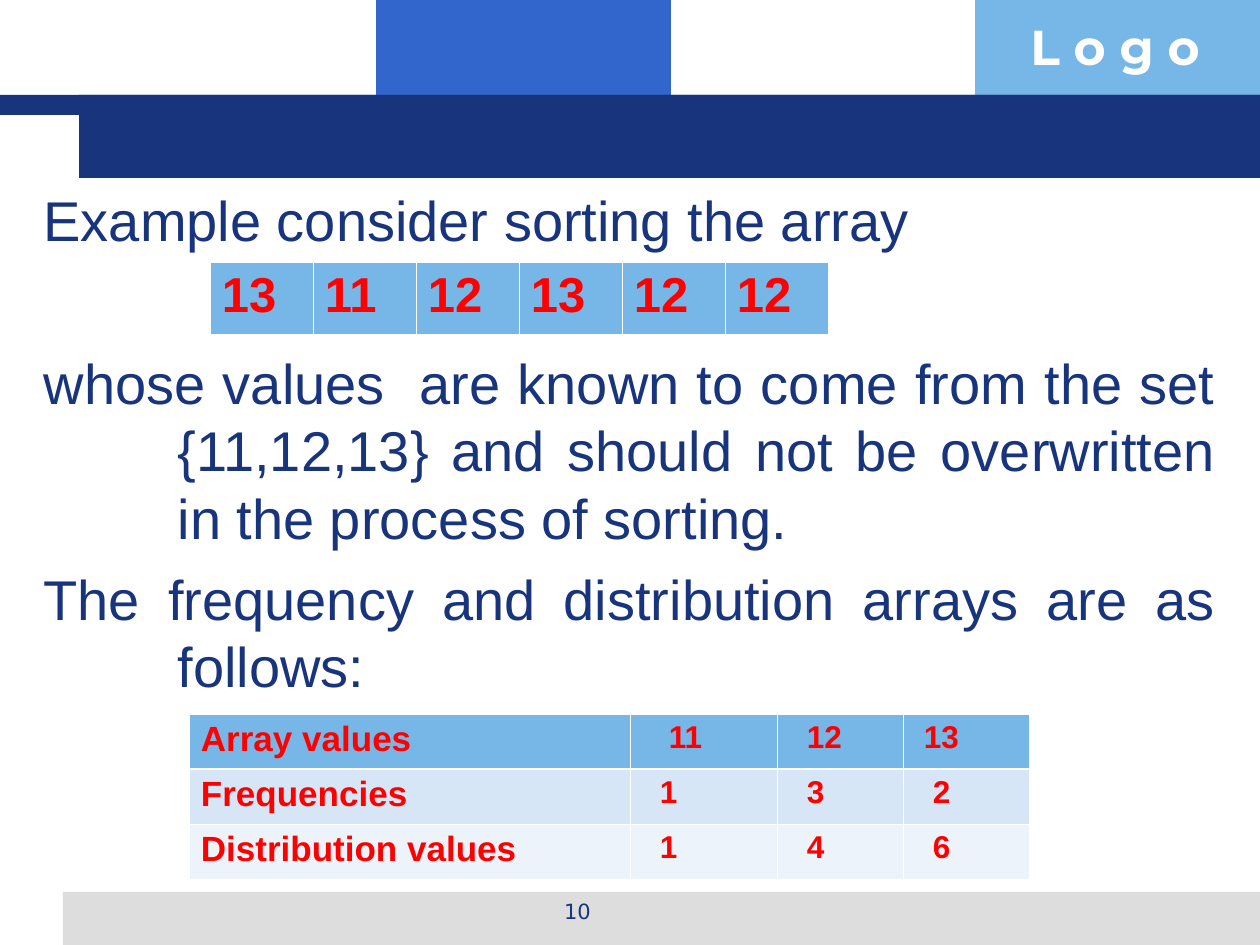
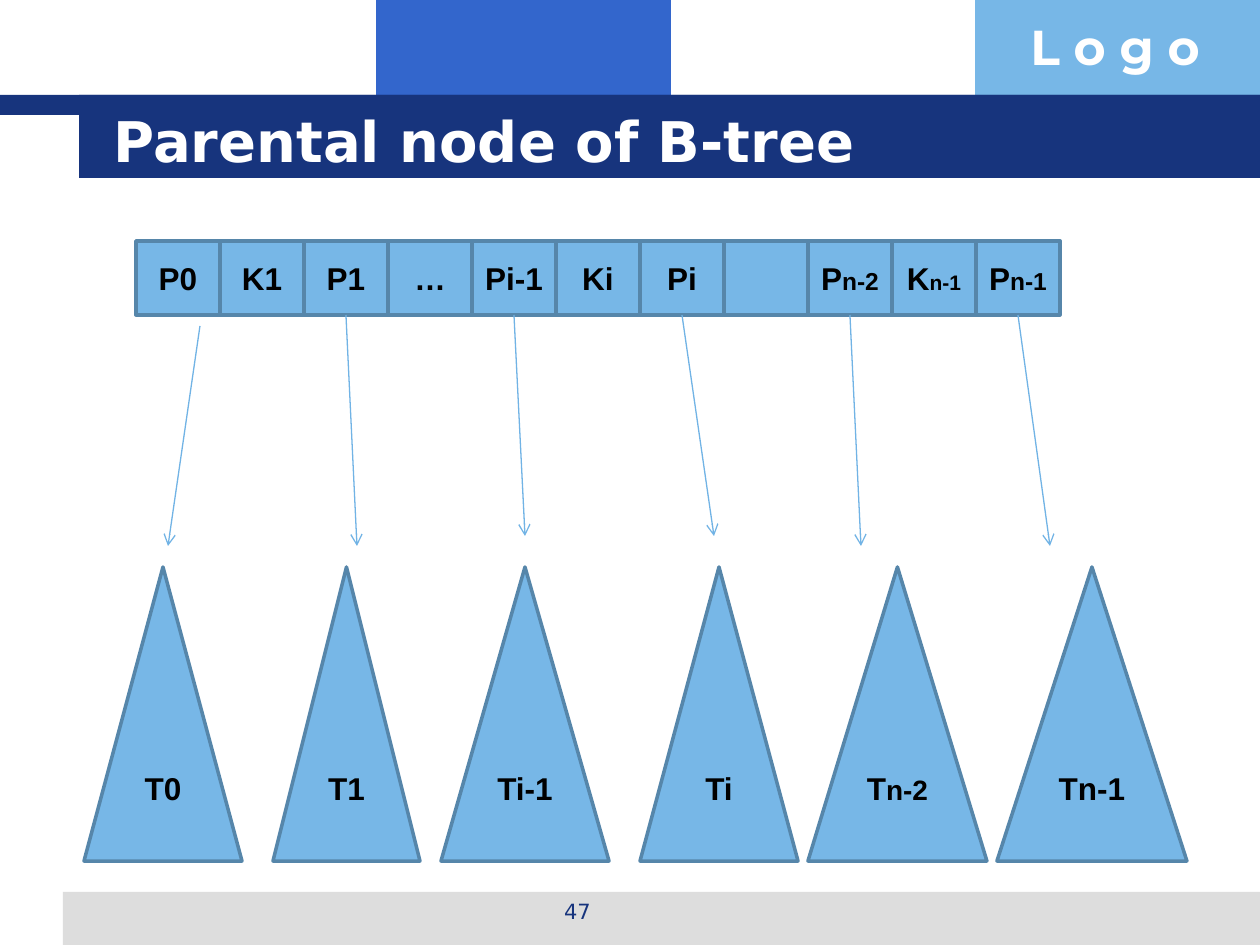
from lxml import etree
from pptx import Presentation
from pptx import util as u
from pptx.dml import color
from pptx.enum import shapes, text
from pptx.oxml import ns

NAVY, BLUE, SKY, GREY = "17347D", "3366CC", "77B7E7", "DDDDDD"
OUTLINE, ARROW = "5686AA", "71B3E5"
WHITE, BLACK, RED = "FFFFFF", "000000", "FF0000"
BODY_FONT, TITLE_FONT, LOGO_FONT = "Arial", "DejaVu Sans", "Montserrat"
EMU_PER_PX = 914400 / 126
INSET, SPACE_WIDTH = 12, 9
THIN, THICK = 0.45, 1.47


def px(length):
    return u.Emu(round(length * EMU_PER_PX))


def rgb(value):
    return color.RGBColor.from_string(value)


class Deck:
    """Holds the style and the slide being drawn."""

    def __init__(self):
        self.presentation = Presentation()
        self.presentation.slide_width = px(1260)
        self.presentation.slide_height = px(945)
        self.slide = None

    def new_slide(self, layout, number):
        layouts = self.presentation.slide_layouts
        self.slide = self.presentation.slides.add_slide(layouts.get_by_name(layout))
        placeholders = list(self.slide.placeholders)
        # Bands shared by every slide
        for box, fill in [((376, 0, 295, 95), BLUE), ((975, 0, 285, 95), SKY),
                          ((63, 892, 1197, 53), GREY), ((0, 95, 1260, 20), NAVY),
                          ((79, 95, 1181, 83), NAVY)]:
            self.shape(box, fill)
        self.label((1018, 10, 242, 72), "L o g o", 28, LOGO_FONT, WHITE, bold=True)
        self.label((431, 892, 293, 44), number, 12, TITLE_FONT, NAVY,
                   align=text.PP_ALIGN.CENTER)
        # Placeholders go in front of the bands
        for placeholder in placeholders:
            self.slide.shapes.element.append(placeholder.element)

    def run(self, paragraph, words, size, font=BODY_FONT, ink=BLACK, bold=False):
        run = paragraph.add_run()
        run.text = words
        run.font.size = u.Pt(size)
        run.font.name = font
        run.font.bold = bold
        run.font.color.rgb = rgb(ink)

    def place(self, shape, box):
        shape.left, shape.top, shape.width, shape.height = map(px, box)

    def label(self, box, words, size, font, ink, bold=False, align=text.PP_ALIGN.LEFT):
        frame = self.slide.shapes.add_textbox(*map(px, box)).text_frame
        frame.word_wrap = True
        paragraph = frame.paragraphs[0]
        paragraph.alignment = align
        self.run(paragraph, words, size, font, ink, bold)

    def shape(self, box, fill, line=None, kind=shapes.MSO_SHAPE.RECTANGLE, runs=()):
        shape = self.slide.shapes.add_shape(kind, *map(px, box))
        shape.shadow.inherit = False
        shape.fill.solid()
        shape.fill.fore_color.rgb = rgb(fill)
        if line:
            shape.line.color.rgb = rgb(line)
            shape.line.width = u.Pt(2)
        else:
            shape.line.fill.background()
        if runs:
            shape.text_frame.vertical_anchor = text.MSO_ANCHOR.MIDDLE
            paragraph = shape.text_frame.paragraphs[0]
            paragraph.alignment = text.PP_ALIGN.CENTER
            for words, size in runs:
                self.run(paragraph, words, size, bold=True)
        return shape

    def title(self, words):
        title = self.slide.shapes.title
        self.place(title, (101, 101, 1075, 78))
        frame = title.text_frame
        frame.auto_size = text.MSO_AUTO_SIZE.NONE
        frame.vertical_anchor = text.MSO_ANCHOR.MIDDLE
        frame.paragraphs[0].alignment = text.PP_ALIGN.LEFT
        self.run(frame.paragraphs[0], words, 32, TITLE_FONT, WHITE, bold=True)

    def remove_title(self):
        element = self.slide.shapes.title.element
        element.getparent().remove(element)

    def body(self, box, entries):
        """Each entry is (words, space before in points)."""
        body = next(iter(self.slide.placeholders))
        self.place(body, box)
        frame = body.text_frame
        frame.auto_size = text.MSO_AUTO_SIZE.NONE
        frame.vertical_anchor = text.MSO_ANCHOR.TOP
        for index, (words, space) in enumerate(entries):
            paragraph = frame.add_paragraph() if index else frame.paragraphs[0]
            properties = paragraph._p.get_or_add_pPr()
            properties.set("marL", str(px(134)))
            properties.set("indent", str(px(-134)))
            etree.SubElement(properties, ns.qn("a:buNone"))
            paragraph.alignment = text.PP_ALIGN.JUSTIFY
            paragraph.space_before = u.Pt(space)
            self.run(paragraph, words, 32, ink=NAVY)

    def border(self, cell, sides):
        properties = cell._tc.get_or_add_tcPr()
        for index, (side, width) in enumerate(sides.items()):
            line = etree.Element(ns.qn("a:ln" + side), w=str(u.Pt(width)))
            fill = etree.SubElement(line, ns.qn("a:solidFill"))
            etree.SubElement(fill, ns.qn("a:srgbClr"), val=WHITE)
            properties.insert(index, line)

    def table(self, left, top, widths, height, rows, fills):
        """Each cell is (words, size, left indent in px)."""
        frame = self.slide.shapes.add_table(len(rows), len(widths), px(left), px(top),
                                            px(sum(widths)), px(height * len(rows)))
        table = frame.table
        table.first_row = table.horz_banding = False
        for column, width in zip(table.columns, widths):
            column.width = px(width)
        for r, row in enumerate(rows):
            table.rows[r].height = px(height)
            for c, (words, size, indent) in enumerate(row):
                cell = table.cell(r, c)
                cell.fill.solid()
                cell.fill.fore_color.rgb = rgb(fills[r])
                cell.margin_left = px(INSET + indent)
                self.run(cell.text_frame.paragraphs[0], words, size, ink=RED, bold=True)
                self.border(cell, {"L": THIN, "R": THIN,
                                   "T": THICK if r == 1 else THIN,
                                   "B": THICK if r == 0 else THIN})

    def arrow(self, start, end, source=None):
        connector = self.slide.shapes.add_connector(
            shapes.MSO_CONNECTOR.STRAIGHT, *map(px, start + end))
        if source is not None:
            connector.begin_connect(source, 2)
        connector.line.color.rgb = rgb(ARROW)
        connector.line.width = u.Pt(0.75)
        line = connector.line._get_or_add_ln()
        etree.SubElement(line, ns.qn("a:tailEnd"), type="arrow")
        etree.SubElement(connector._element.spPr, ns.qn("a:effectLst"))


def sorting_slide(deck):
    deck.new_slide("Title and Content", "10")
    deck.remove_title()
    deck.body((31, 179, 1198, 675), [
        ("Example consider sorting the array", 0),
        ("whose values  are known to come from the set {11,12,13} and should not be "
         "overwritten in the process of sorting.", 55),
        ("The frequency and distribution arrays are as follows:", 8)])
    # Array to sort
    array = [(value, 28, 0) for value in "13 11 12 13 12 12".split()]
    deck.table(210, 262, [103] * 6, 73, [array], [SKY])
    # Frequencies and distribution, with the indent of each number
    counts = [("Array values", ("11", 3), ("12", 2), ("13", 1)),
              ("Frequencies", ("1", 2), ("3", 2), ("2", 2)),
              ("Distribution values", ("1", 2), ("4", 2), ("6", 2))]
    rows = [[(heading, 20, 0)] + [(value, 18, SPACE_WIDTH * spaces) for value, spaces in numbers]
            for heading, *numbers in counts]
    deck.table(189, 714, [441, 147, 126, 126], 55, rows, [SKY, "D6E6F6", "ECF3FA"])


def tree_slide(deck):
    deck.new_slide("Title Only", "47")
    deck.title("Parental node of B-tree")
    # Parent node: pointers and keys side by side
    node = [[("P0", 18)], [("K1", 18)], [("P1", 18)], [("…", 18)], [("Pi-1", 18)],
            [("Ki", 18)], [("Pi", 18)], [], [("P", 18), ("n-2", 14)],
            [("K", 18), ("n-1", 12)], [("P", 18), ("n-1", 14)]]
    cells = [deck.shape((136 + 84 * i, 241, 84, 74), SKY, OUTLINE, runs=runs)
             for i, runs in enumerate(node)]
    # Pointers to the subtrees
    deck.arrow((200, 326), (168, 546))
    for i, end in [(2, (357, 546)), (4, (525, 536)), (6, (714, 536)),
                   (8, (861, 546)), (10, (1050, 546))]:
        deck.arrow((178 + 84 * i, 315), end, cells[i])
    # Subtrees
    for left, width, runs in [(84, 158, [("T0", 18)]), (273, 147, [("T1", 18)]),
                              (441, 168, [("Ti-1", 18)]), (640, 158, [("Ti", 18)]),
                              (808, 179, [("T", 18), ("n-2", 16)]),
                              (997, 190, [("Tn-1", 18)])]:
        deck.shape((left, 567, width, 294), SKY, OUTLINE,
                   shapes.MSO_SHAPE.ISOSCELES_TRIANGLE, runs)


def main():
    deck = Deck()
    sorting_slide(deck)
    tree_slide(deck)
    deck.presentation.save("out.pptx")


if __name__ == "__main__":
    main()
